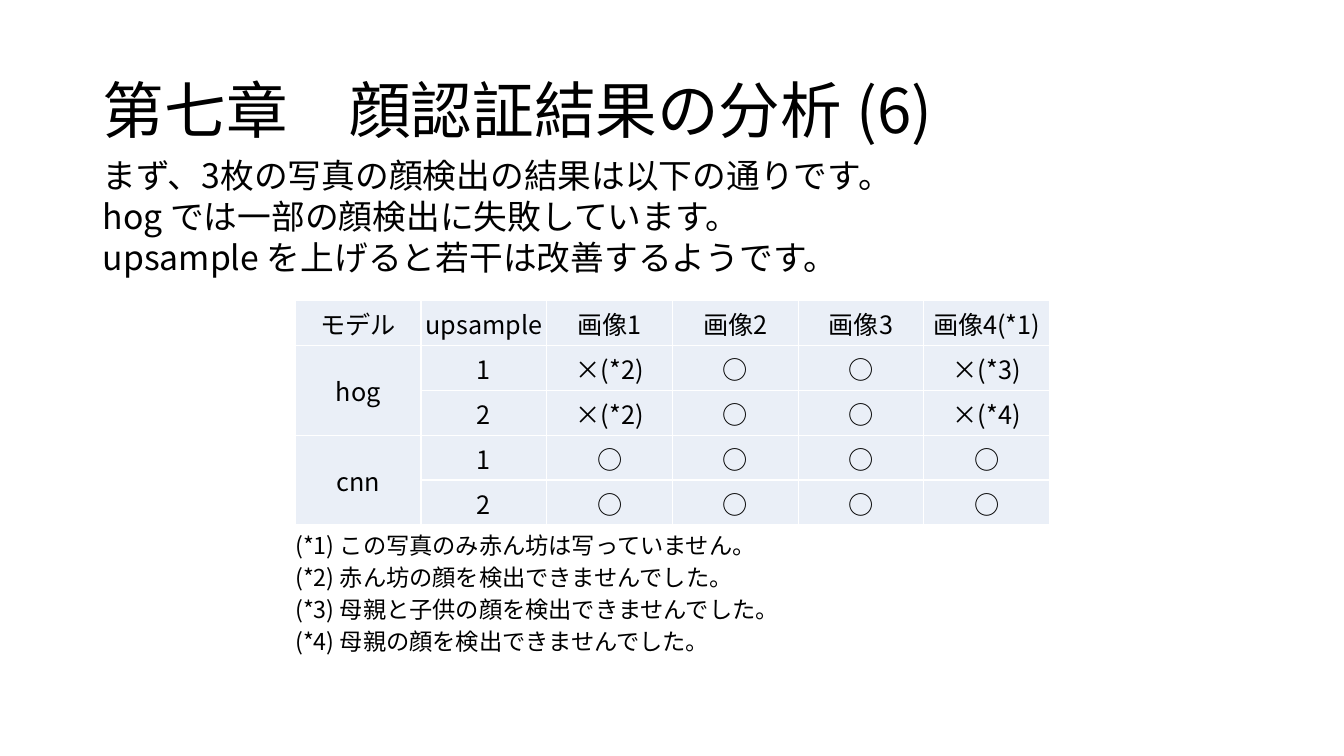
from dataclasses import dataclass

from lxml import etree
from pptx import Presentation
from pptx import util as u
from pptx.dml.color import RGBColor
from pptx.enum import text
from pptx.oxml import ns


@dataclass(frozen=True)
class Theme:
    font: str = "Noto Sans CJK JP"
    ink: str = "000000"
    cell: str = "EAEFF7"
    border: str = "FFFFFF"
    title_size: float = 44
    body_size: float = 24.1
    table_size: float = 18
    note_size: float = 16.6


THEME = Theme()
TITLE = "第七章　顔認証結果の分析 (6)"
INTRO = [
    "まず、3枚の写真の顔検出の結果は以下の通りです。",
    "hog では一部の顔検出に失敗しています。",
    "upsample を上げると若干は改善するようです。",
]
HEADER = ["モデル", "upsample", "画像1", "画像2", "画像3", "画像4(*1)"]
RESULTS = {
    "hog": [["1", "×(*2)", "○", "○", "×(*3)"], ["2", "×(*2)", "○", "○", "×(*4)"]],
    "cnn": [["1", "○", "○", "○", "○"], ["2", "○", "○", "○", "○"]],
}
NOTES = [
    "(*1) この写真のみ赤ん坊は写っていません。",
    "(*2) 赤ん坊の顔を検出できませんでした。",
    "(*3) 母親と子供の顔を検出できませんでした。",
    "(*4) 母親の顔を検出できませんでした。",
]


def apply(target, values):
    for name, value in values.items():
        setattr(target, name, value)


def write(paragraph, words, size, **values):
    """Put one run into the paragraph, in the theme font for Latin and Japanese."""
    apply(paragraph, values)
    run = paragraph.add_run()
    run.text = words
    apply(run.font, {"size": u.Pt(size), "name": THEME.font})
    run.font.color.rgb = RGBColor.from_string(THEME.ink)
    east_asian = etree.SubElement(run.font._element, ns.qn("a:ea"))
    east_asian.set("typeface", THEME.font)


def set_title(slide):
    title = slide.shapes.title
    apply(title, {"left": u.Inches(0.92), "top": u.Inches(0.4),
                  "width": u.Inches(11.5), "height": u.Inches(1.45)})
    apply(title.text_frame, {"vertical_anchor": text.MSO_ANCHOR.MIDDLE,
                             "word_wrap": True})
    write(title.text_frame.paragraphs[0], TITLE, THEME.title_size,
          alignment=text.PP_ALIGN.LEFT, line_spacing=0.9)


def add_lines(slide, box, lines, size):
    frame = slide.shapes.add_textbox(*map(u.Inches, box)).text_frame
    frame.word_wrap = True
    for index, line in enumerate(lines):
        paragraph = frame.add_paragraph() if index else frame.paragraphs[0]
        write(paragraph, line, size, line_spacing=0.7,
              space_before=u.Pt(8.9 if index else 0))


def set_borders(cell):
    properties = cell._tc.get_or_add_tcPr()
    for index, side in enumerate(("lnL", "lnR", "lnT", "lnB")):
        line = etree.Element(ns.qn(f"a:{side}"), w=str(u.Pt(1)))
        fill = etree.SubElement(line, ns.qn("a:solidFill"))
        etree.SubElement(fill, ns.qn("a:srgbClr"), val=THEME.border)
        properties.insert(index, line)


def format_cell(cell):
    margin = u.Inches(0.01)
    apply(cell, {"margin_left": margin, "margin_right": margin, "margin_top": margin,
                 "margin_bottom": 0, "vertical_anchor": text.MSO_ANCHOR.MIDDLE})
    cell.fill.solid()
    cell.fill.fore_color.rgb = RGBColor.from_string(THEME.cell)
    set_borders(cell)


def add_results_table(slide):
    rows = [HEADER]
    for model, trials in RESULTS.items():
        for index, trial in enumerate(trials):
            rows.append([model if index == 0 else "", *trial])
    table = slide.shapes.add_table(
        len(rows), len(HEADER), u.Inches(2.93), u.Inches(2.98),
        u.Inches(7.48), u.Inches(2.23)).table
    for row_index, row in enumerate(rows):
        for column_index, words in enumerate(row):
            cell = table.cell(row_index, column_index)
            format_cell(cell)
            if words:
                write(cell.text_frame.paragraphs[0], words, THEME.table_size,
                      alignment=text.PP_ALIGN.CENTER)
    first = 1
    for trials in RESULTS.values():
        last = first + len(trials) - 1
        table.cell(first, 0).merge(table.cell(last, 0))
        first = last + 1


def main():
    presentation = Presentation()
    apply(presentation, {"slide_width": u.Inches(13.33), "slide_height": u.Inches(7.5)})
    slide = presentation.slides.add_slide(presentation.slide_layouts.get_by_name("Title Only"))
    set_title(slide)
    add_lines(slide, (0.92, 1.6, 11.5, 1.35), INTRO, THEME.body_size)
    add_results_table(slide)
    add_lines(slide, (2.83, 5.3, 9.59, 1.53), NOTES, THEME.note_size)
    presentation.save("out.pptx")


if __name__ == "__main__":
    main()
